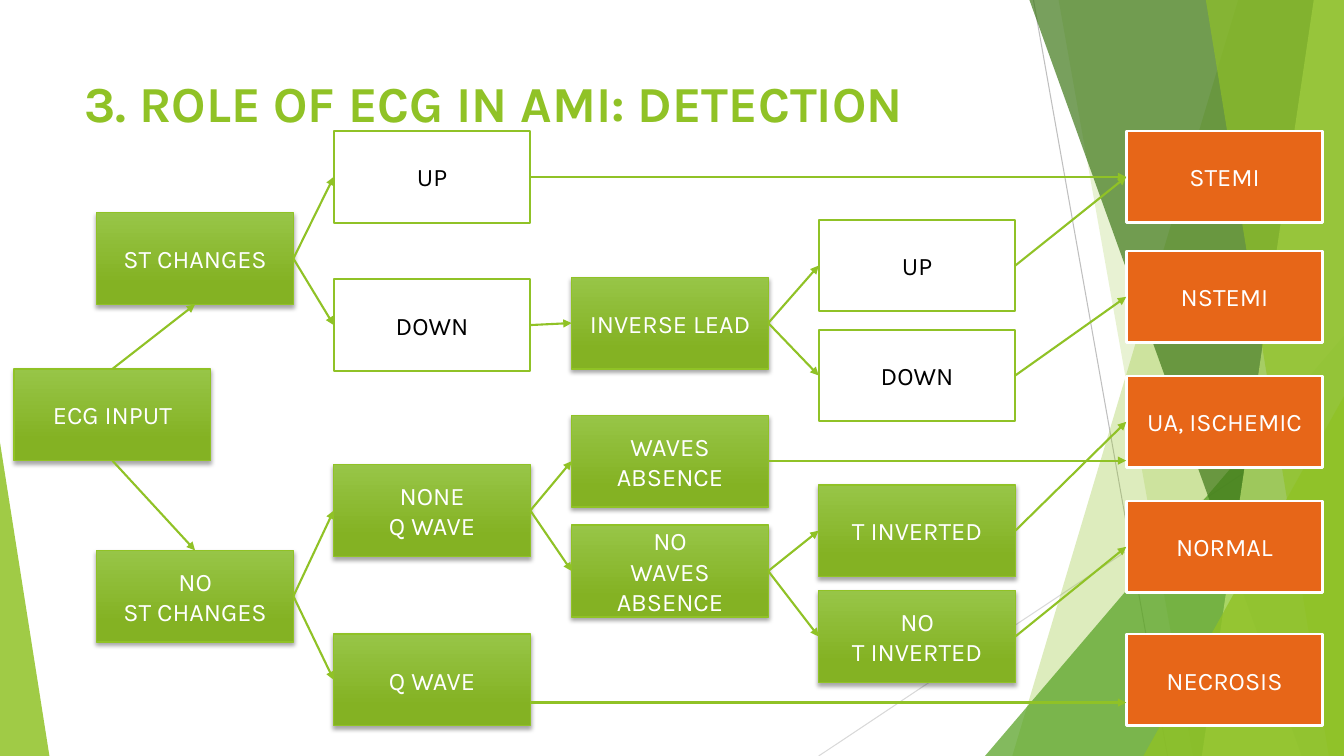
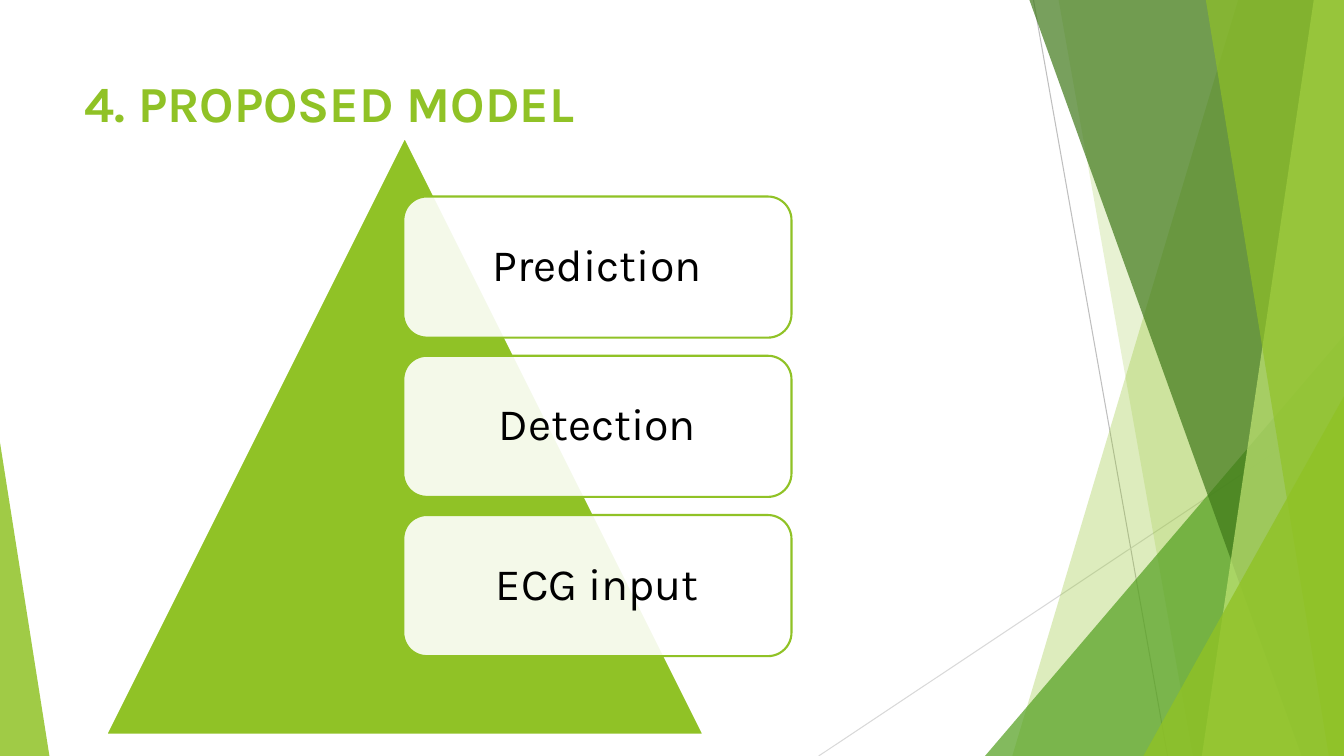
from lxml import etree
from pptx import Presentation
from pptx.dml.color import RGBColor
from pptx.enum import shapes, text
from pptx.oxml.ns import qn
from pptx.util import Inches, Pt

WIDE, HIGH = 13.33, 7.5
FONT = "Karla"
COLOURS = {
    "green": "90C226", "leaf": "54A021", "forest": "3F7819", "lime": "C0E474",
    "glow": "97C547", "shade": "84B223", "orange": "E76618",
    "white": "FFFFFF", "black": "000000", "grey": "BFBFBF", "pale": "D9D9D9",
}

# Backdrop, back to front: rays are lines, strips run from a slanted left edge
# (top x, bottom x) to the right side, wedges are corner triangles
RAYS = [((10.25, 0), (11.58, HIGH), "grey"), ((WIDE, 4.03), (8.12, HIGH), "pale")]
BACKDROP = [
    ("strip", (12.28, 10.04), "green", 30),
    ("strip", (10.5, 11.83), "green", 20),
    ("wedge", (9.77, WIDE, 3.33, 1), "leaf", 72),
    ("strip", (10.21, 12.91), "forest", 70),
    ("strip", (13.03, 11.92), "lime", 70),
    ("strip", (11.96, 13.18), "green", 65),
    ("wedge", (11.34, WIDE, 3.93, 1), "green", 80),
    ("wedge", (0, 0.49, 4.39, 0), "green", 85),
]

# Decision tree
DETECTION_TITLE = "3. ROLE OF ECG IN AMI: DETECTION"
BOX_W, BOX_H = 1.95, 0.91
COLUMNS = {"input": 0.14, "change": 0.96, "branch": 3.31, "lead": 5.67,
           "sign": 8.12, "outcome": 11.17}
NODES = {  # key: (column, top, look, label)
    "ecg": ("input", 3.66, "step", "ECG INPUT"),
    "st": ("change", 2.11, "step", "ST CHANGES"),
    "no st": ("change", 5.46, "step", "NO\nST CHANGES"),
    "st up": ("branch", 1.3, "answer", "UP"),
    "st down": ("branch", 2.77, "answer", "DOWN"),
    "no q": ("branch", 4.61, "step", "NONE\nQ WAVE"),
    "q": ("branch", 6.29, "step", "Q WAVE"),
    "inverse": ("lead", 2.75, "step", "INVERSE LEAD"),
    "absence": ("lead", 4.12, "step", "WAVES ABSENCE"),
    "no absence": ("lead", 5.21, "step", "NO\nWAVES ABSENCE"),
    "lead up": ("sign", 2.18, "answer", "UP"),
    "lead down": ("sign", 3.27, "answer", "DOWN"),
    "t": ("sign", 4.81, "step", "T INVERTED"),
    "no t": ("sign", 5.86, "step", "NO\nT INVERTED"),
    "stemi": ("outcome", 1.3, "outcome", "STEMI"),
    "nstemi": ("outcome", 2.49, "outcome", "NSTEMI"),
    "ua": ("outcome", 3.73, "outcome", "UA, ISCHEMIC"),
    "normal": ("outcome", 4.97, "outcome", "NORMAL"),
    "necrosis": ("outcome", 6.29, "outcome", "NECROSIS"),
}
LOOKS = {  # fill, line, line width, text
    "step": (("glow", "shade"), "green", 1, "white"),
    "answer": ("white", "green", 1.5, "black"),
    "outcome": ("orange", "white", 2, "white"),
}
TOP, LEFT, BOTTOM, RIGHT = range(4)
VERTICAL_LINKS = [("ecg", TOP, "st", BOTTOM), ("ecg", BOTTOM, "no st", TOP)]
BRANCHES = {
    "st": ["st up", "st down"], "st up": ["stemi"], "st down": ["inverse"],
    "inverse": ["lead up", "lead down"], "lead up": ["stemi"],
    "lead down": ["nstemi"], "no st": ["no q", "q"],
    "no q": ["absence", "no absence"], "no absence": ["t", "no t"],
    "t": ["ua"], "no t": ["normal"],
}
LEVEL_LINKS = [("lead", 4.57), ("branch", 6.97)]  # straight across to the outcomes

# Pyramid
MODEL_TITLE = "4. PROPOSED MODEL"
STAGES = ["Prediction", "Detection", "ECG input"]
PYRAMID = (1.05, 1.36, 5.93, 5.93)
STAGE_X, STAGE_TOP, STAGE_W, STAGE_H, STAGE_PITCH = 4, 1.95, 3.85, 1.4, 1.58


def rgb(name):
    return RGBColor.from_string(COLOURS[name])


def paint(shape, fill, line=None, width=0, opacity=100):
    """Fill and outline a shape; a pair of fills makes a vertical gradient."""
    shape.shadow.inherit = False
    if isinstance(fill, tuple):
        shape.fill.gradient()
        shape.fill.gradient_angle = 270
        for stop, name, place in zip(shape.fill.gradient_stops, fill, (0, 0.78)):
            stop.color.rgb = rgb(name)
            stop.position = place
    else:
        shape.fill.solid()
        shape.fill.fore_color.rgb = rgb(fill)
        if opacity < 100:
            colour = shape.element.spPr.find(qn("a:solidFill"))[0]
            etree.SubElement(colour, qn("a:alpha"), val=str(opacity * 1000))
    if line:
        shape.line.color.rgb = rgb(line)
        shape.line.width = Pt(width)
    else:
        shape.line.fill.background()


def drop_shadow(shape):
    effects = shape.element.spPr.find(qn("a:effectLst"))
    shadow = etree.SubElement(effects, qn("a:outerShdw"), blurRad=str(Pt(3)),
                              dist=str(Pt(2)), dir="5400000", rotWithShape="0")
    colour = etree.SubElement(shadow, qn("a:srgbClr"), val=COLOURS["black"])
    etree.SubElement(colour, qn("a:alpha"), val="35000")


def write(shape, words, size, colour, align, bold=False):
    frame = shape.text_frame
    frame.text = words
    frame.word_wrap = True
    for paragraph in frame.paragraphs:
        paragraph.alignment = align
        for run in paragraph.runs:
            run.font.name, run.font.size, run.font.bold = FONT, Pt(size), bold
            run.font.color.rgb = rgb(colour)


def add_shape(slide, kind, x, y, w, h):
    return slide.shapes.add_shape(kind, *map(Inches, (x, y, w, h)))


def add_line(slide, start, end, colour, width, arrow=False):
    line = slide.shapes.add_connector(shapes.MSO_CONNECTOR.STRAIGHT,
                                      *map(Inches, (*start, *end)))
    line.line.color.rgb = rgb(colour)
    line.line.width = Pt(width)
    properties = line.element.spPr
    if arrow:
        etree.SubElement(properties.find(qn("a:ln")), qn("a:tailEnd"), type="triangle")
    etree.SubElement(properties, qn("a:effectLst"))
    return line


def add_slide(deck, title):
    """A slide with the shared backdrop and title."""
    slide = deck.slides.add_slide(deck.slide_layouts[6])
    for start, end, colour in RAYS:
        add_line(slide, start, end, colour, 0.75)
    for kind, place, colour, opacity in BACKDROP:
        if kind == "strip":
            top_x, bottom_x = place
            outline = slide.shapes.build_freeform(Inches(top_x), 0)
            corners = [(WIDE, 0), (WIDE, HIGH), (bottom_x, HIGH)]
            outline.add_line_segments([tuple(map(Inches, c)) for c in corners])
            part = outline.convert_to_shape()
        else:
            x, right, top, apex = place
            part = add_shape(slide, shapes.MSO_SHAPE.ISOSCELES_TRIANGLE,
                             x, top, right - x, HIGH - top)
            part.adjustments[0] = apex
        paint(part, colour, opacity=opacity)
    heading = slide.shapes.add_textbox(*map(Inches, (0.74, 0.67, 9.4, 1.44)))
    write(heading, title, 36, "green", text.PP_ALIGN.LEFT, bold=True)
    return slide


def build_detection(deck):
    slide = add_slide(deck, DETECTION_TITLE)
    boxes = {}
    for key, (column, top, look, label) in NODES.items():
        fill, line, width, ink = LOOKS[look]
        box = add_shape(slide, shapes.MSO_SHAPE.RECTANGLE,
                        COLUMNS[column], top, BOX_W, BOX_H)
        paint(box, fill, line, width)
        if look == "step":
            drop_shadow(box)
        write(box, label, 18, ink, text.PP_ALIGN.CENTER)
        boxes[key] = box

    links = VERTICAL_LINKS + [(source, RIGHT, target, LEFT)
                              for source, targets in BRANCHES.items()
                              for target in targets]
    for source, out_side, target, in_side in links:
        arrow = add_line(slide, (0, 0), (1, 1), "green", 1.5, arrow=True)
        arrow.begin_connect(boxes[source], out_side)
        arrow.end_connect(boxes[target], in_side)
    for column, y in LEVEL_LINKS:
        add_line(slide, (COLUMNS[column] + BOX_W, y), (COLUMNS["outcome"], y),
                 "green", 1.5, arrow=True)


def build_model(deck):
    slide = add_slide(deck, MODEL_TITLE)
    pyramid = add_shape(slide, shapes.MSO_SHAPE.ISOSCELES_TRIANGLE, *PYRAMID)
    paint(pyramid, "green", "white", 1.5)
    for row, stage in enumerate(STAGES):
        card = add_shape(slide, shapes.MSO_SHAPE.ROUNDED_RECTANGLE, STAGE_X,
                         STAGE_TOP + row * STAGE_PITCH, STAGE_W, STAGE_H)
        paint(card, "white", "green", 1.5, opacity=90)
        write(card, stage, 32, "black", text.PP_ALIGN.CENTER)
        card.text_frame.paragraphs[0].line_spacing = 0.9


def main():
    deck = Presentation()
    deck.slide_width, deck.slide_height = Inches(WIDE), Inches(HIGH)
    build_detection(deck)
    build_model(deck)
    deck.save("out.pptx")


if __name__ == "__main__":
    main()
